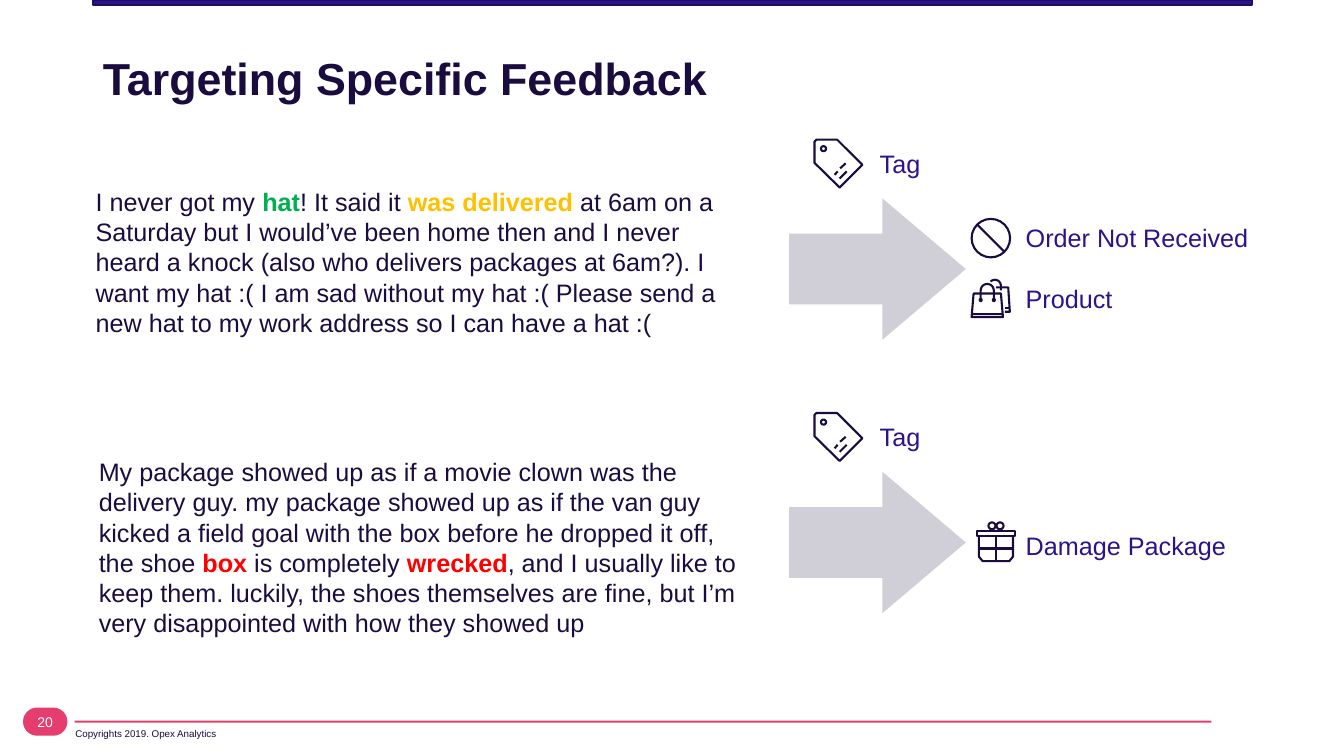
from dataclasses import dataclass
from math import cos, radians, sin

from lxml import etree
from pptx import Presentation
from pptx.dml.color import RGBColor
from pptx.enum.shapes import MSO_SHAPE
from pptx.enum.text import MSO_ANCHOR, MSO_AUTO_SIZE, PP_ALIGN
from pptx.oxml.ns import qn
from pptx.util import Cm, Pt

RECT, PILL, ARROW = MSO_SHAPE.RECTANGLE, MSO_SHAPE.ROUNDED_RECTANGLE, MSO_SHAPE.RIGHT_ARROW
MIDDLE = MSO_ANCHOR.MIDDLE
FIXED, GROW = MSO_AUTO_SIZE.NONE, MSO_AUTO_SIZE.SHAPE_TO_FIT_TEXT
LEFT, CENTER = PP_ALIGN.LEFT, PP_ALIGN.CENTER

Stroke = list[tuple[float, float]]


@dataclass(frozen=True)
class Theme:
    font: str = "Arial"
    background: str = "FEFFFE"
    ink: str = "1B0C3F"
    label: str = "2C1389"
    bar: str = "2B1389"
    bar_edge: str = "200E65"
    accent: str = "E53D6E"
    product: str = "00B050"
    delivery: str = "FFC000"
    damage: str = "FF0000"
    title_size: int = 32
    text_size: int = 18
    number_size: int = 10
    copyright_size: int = 7
    icon_line: float = 1.5
    arrow_alpha: int = 20


@dataclass(frozen=True)
class Box:
    left: float
    top: float
    width: float
    height: float

    def emu(self) -> tuple[Cm, Cm, Cm, Cm]:
        return Cm(self.left), Cm(self.top), Cm(self.width), Cm(self.height)


@dataclass(frozen=True)
class Phrase:
    text: str
    highlight: str = ""


@dataclass(frozen=True)
class Label:
    text: str
    text_box: Box
    icon: list[Stroke]
    icon_left: float
    icon_top: float
    icon_size: float = 1.02


@dataclass(frozen=True)
class Review:
    box: Box
    phrases: list[Phrase]
    arrow_top: float
    labels: list[Label]


def arc(x: float, y: float, radius: float, start: int = 0, end: int = 360) -> Stroke:
    """Points along an arc, clockwise in degrees from the right."""
    return [(x + radius * cos(radians(a)), y + radius * sin(radians(a)))
            for a in range(start, end + 1, 15)]


# Icon strokes lie on a 1000 by 1000 grid.
TAG_ICON = [
    [(20, 490), (520, 980), (970, 530), (470, 30), (60, 30), (20, 70), (20, 490)],
    arc(200, 210, 50),
    [(420, 730), (480, 660)],
    [(520, 800), (660, 660)],
    [(530, 600), (640, 500)],
]
NOT_RECEIVED_ICON = [arc(500, 500, 475), [(170, 170), (830, 830)]]
BAGS_ICON = [
    [(75, 400), (750, 400), (800, 980), (25, 980), (75, 400)],
    [(35, 900), (795, 900)],
    [(250, 550), *arc(412, 325, 162, 180, 360), (575, 550)],
    arc(250, 560, 25),
    arc(575, 560, 25),
    [*arc(600, 210, 150, 225, 360), (750, 320)],
    [(630, 250), (930, 250), (970, 850), (850, 850)],
    [(850, 750), (960, 750)],
]
GIFT_ICON = [
    [(25, 212), (975, 212), (975, 337), (25, 337), (25, 212)],
    [(75, 337), (75, 850), (170, 960), (830, 960), (920, 850), (920, 337)],
    [(500, 337), (500, 960)],
    [(75, 650), (920, 650)],
    arc(400, 90, 85),
    arc(600, 90, 85),
]

THEME = Theme()
TAG_ABOVE_ARROW = 1.39
REVIEWS = [
    Review(
        Box(2.16, 4.57, 16.76, 4.11),
        [Phrase("I never got my "), Phrase("hat", THEME.product), Phrase("! It said it "),
         Phrase("was delivered ", THEME.delivery),
         Phrase("at 6am on a Saturday but I would’ve been home then and I never heard a knock "
                "(also who delivers packages at 6am?). I want my hat :( I am sad without my hat :( "
                "Please send a new hat to my work address so I can have a hat :(")],
        5.0,
        [Label("Order Not Received", Box(25.6, 5.49, 6.17, 1.02), NOT_RECEIVED_ICON, 24.46, 5.49),
         Label("Product", Box(25.6, 7.01, 2.72, 1.02), BAGS_ICON, 24.46, 6.99)],
    ),
    Review(
        Box(2.24, 11.38, 16.76, 4.88),
        [Phrase("My package showed up as if a movie clown was the delivery guy. my package showed up "
                "as if the van guy kicked a field goal with the box before he dropped it off, "
                "the shoe "),
         Phrase("box", THEME.damage), Phrase(" is completely "), Phrase("wrecked", THEME.damage),
         Phrase(", and I usually like to keep them. luckily, the shoes themselves are fine, "
                "but I’m very disappointed with how they showed up")],
        11.89,
        [Label("Damage Package", Box(25.6, 13.23, 5.61, 1.02), GIFT_ICON, 24.59, 13.16)],
    ),
]


def style_font(font, size: float, color: str, bold: bool = False) -> None:
    font.name, font.size, font.bold = THEME.font, Pt(size), bold
    font.color.rgb = RGBColor.from_string(color)


def add_block(slide, kind, box: Box, color: str):
    block = slide.shapes.add_shape(kind, *box.emu())
    block.shadow.inherit = False
    block.fill.solid()
    block.fill.fore_color.rgb = RGBColor.from_string(color)
    block.line.fill.background()
    return block


def add_text(slide, box: Box, phrases: list[Phrase], size: float, color: str, wrap: bool) -> None:
    frame = slide.shapes.add_textbox(*box.emu()).text_frame
    frame.word_wrap = wrap
    frame.auto_size = GROW
    for phrase in phrases:
        run = frame.paragraphs[0].add_run()
        run.text = phrase.text
        style_font(run.font, size, phrase.highlight or color, bool(phrase.highlight))


def add_icon(slide, strokes: list[Stroke], left: float, top: float, size: float) -> None:
    builder = slide.shapes.build_freeform(*strokes[0][0], scale=Cm(size) / 1000)
    for stroke in strokes:
        builder.move_to(*stroke[0])
        builder.add_line_segments(stroke[1:], close=False)
    icon = builder.convert_to_shape(Cm(left), Cm(top))
    icon.shadow.inherit = False
    icon.fill.background()
    icon.line.color.rgb = RGBColor.from_string(THEME.ink)
    icon.line.width = Pt(THEME.icon_line)


def add_label(slide, label: Label) -> None:
    add_icon(slide, label.icon, label.icon_left, label.icon_top, label.icon_size)
    add_text(slide, label.text_box, [Phrase(label.text)], THEME.text_size, THEME.label, False)


def add_review(slide, review: Review) -> None:
    add_text(slide, review.box, review.phrases, THEME.text_size, THEME.ink, True)
    arrow = add_block(slide, ARROW, Box(19.89, review.arrow_top, 4.45, 3.56), THEME.ink)
    arrow.adjustments[1] = 0.59
    ink = arrow.fill._xPr.find(".//" + qn("a:srgbClr"))
    etree.SubElement(ink, qn("a:alpha"), val=str(THEME.arrow_alpha * 1000))
    tag_top = review.arrow_top - TAG_ABOVE_ARROW
    tag = Label("Tag", Box(21.92, tag_top, 1.55, 1.02), TAG_ICON, 20.5, tag_top - 0.13, 1.27)
    for label in [tag, *review.labels]:
        add_label(slide, label)


def add_frame(slide) -> None:
    """Draw the top bar and the footer."""
    add_block(slide, RECT, Box(1.88, 18.16, 28.65, 0.05), THEME.accent)
    pill = add_block(slide, PILL, Box(0.58, 17.83, 1.12, 0.71), THEME.accent)
    pill.adjustments[0] = 0.5
    number = pill.text_frame
    number.margin_left = number.margin_right = number.margin_top = number.margin_bottom = 0
    number.vertical_anchor = MIDDLE
    number.text = "20"
    number.paragraphs[0].alignment = CENTER
    style_font(number.paragraphs[0].runs[0].font, THEME.number_size, THEME.background)
    add_text(slide, Box(1.65, 18.21, 4.27, 0.56), [Phrase("Copyrights 2019. Opex Analytics")],
             THEME.copyright_size, THEME.ink, False)
    bar = add_block(slide, RECT, Box(2.34, 0, 29.21, 0.13), THEME.bar)
    bar.line.color.rgb = RGBColor.from_string(THEME.bar_edge)
    bar.line.width = Pt(1)


def set_title(slide, text: str) -> None:
    title = slide.shapes.title
    title.left, title.top, title.width, title.height = Box(2.34, 1.02, 29.21, 2.03).emu()
    frame = title.text_frame
    frame.text = text
    frame.auto_size = FIXED
    frame.vertical_anchor = MIDDLE
    heading = frame.paragraphs[0]
    heading.alignment = LEFT
    heading.line_spacing = 0.9
    style_font(heading.runs[0].font, THEME.title_size, THEME.ink, True)


def main() -> None:
    deck = Presentation()
    deck.slide_width, deck.slide_height = Cm(33.87), Cm(19.05)
    slide = deck.slides.add_slide(deck.slide_layouts[5])
    slide.background.fill.solid()
    slide.background.fill.fore_color.rgb = RGBColor.from_string(THEME.background)
    add_frame(slide)
    set_title(slide, "Targeting Specific Feedback")
    for review in REVIEWS:
        add_review(slide, review)
    deck.save("out.pptx")


if __name__ == "__main__":
    main()
